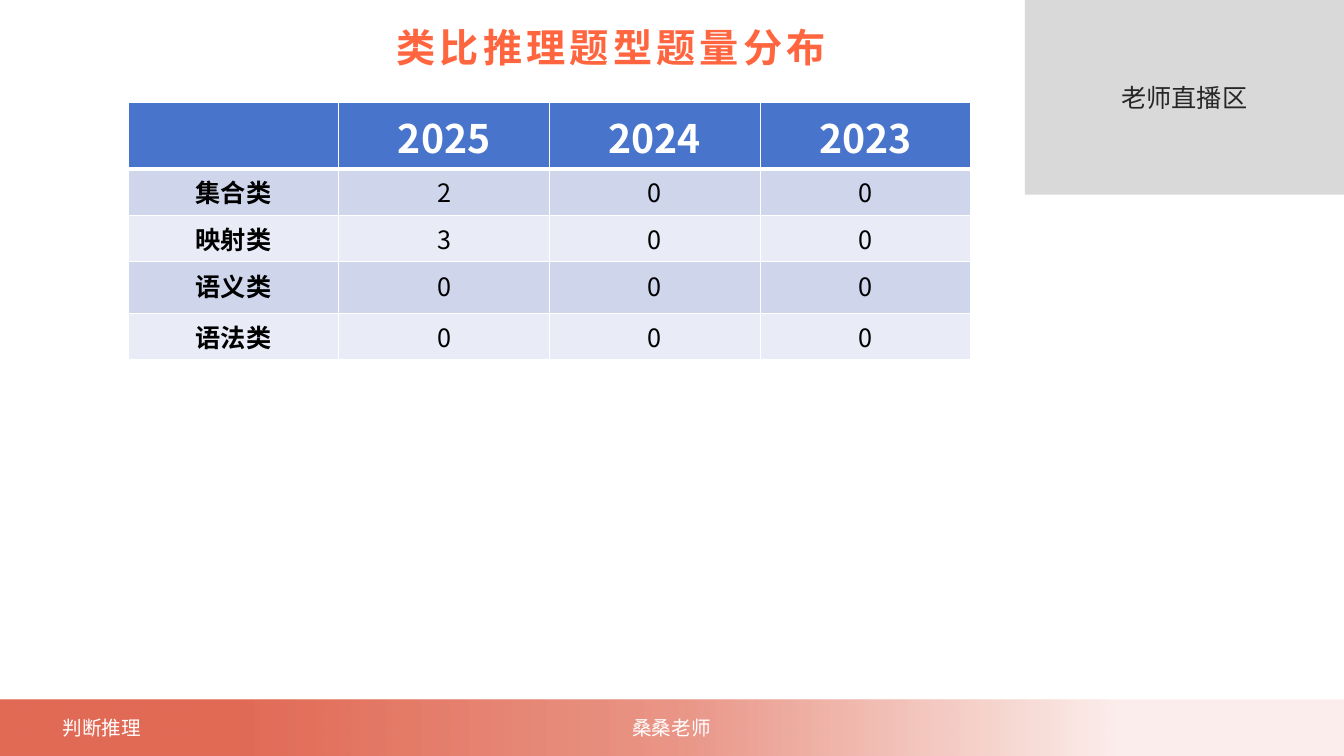
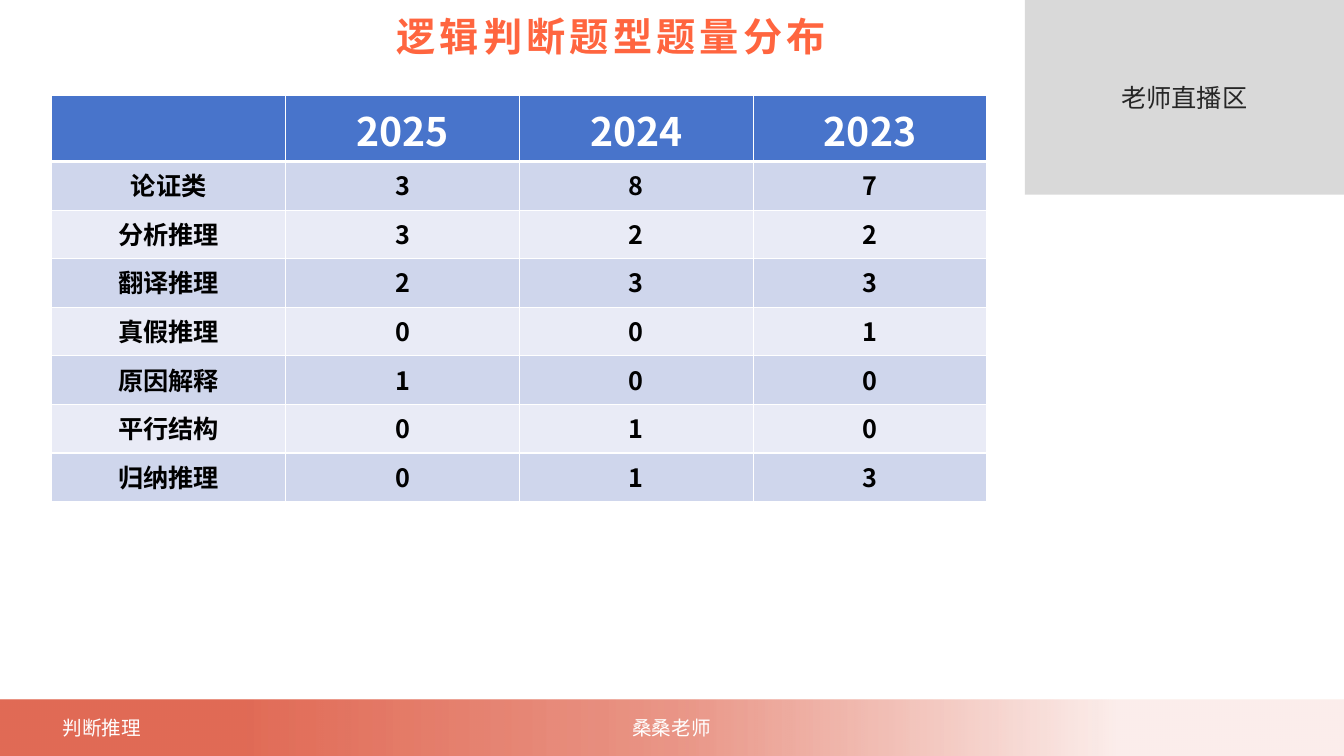
from lxml.etree import SubElement
from pptx import Presentation
from pptx.dml.color import RGBColor
from pptx.enum.shapes import MSO_SHAPE
from pptx.enum.text import MSO_ANCHOR, PP_ALIGN
from pptx.oxml.ns import qn
from pptx.util import Pt

FONT = "Noto Sans CJK SC"
WHITE = RGBColor(0xFF, 0xFF, 0xFF)
BLACK = RGBColor(0x00, 0x00, 0x00)
INK = RGBColor(0x26, 0x26, 0x26)
GRAY = RGBColor(0xD9, 0xD9, 0xD9)
CORAL = RGBColor(0xFF, 0x65, 0x3F)
RED = RGBColor(0xDC, 0x50, 0x37)
BLUE = RGBColor(0x48, 0x74, 0xCB)
BANDS = RGBColor(0xCF, 0xD6, 0xEC), RGBColor(0xE9, 0xEB, 0xF6)
FADE = (18, 84), (51, 59), (83, 10)
WIDTH, HEIGHT = 960, 540
YEARS = "", "2025", "2024", "2023"


def write(frame, text, size, color, bold=False, align=PP_ALIGN.CENTER):
    """Add one styled run to the first paragraph and return it."""
    para = frame.paragraphs[0]
    para.alignment = align
    run = para.add_run()
    run.text = text
    font = run.font
    font.name, font.size, font.bold = FONT, Pt(size), bold
    font.color.rgb = color
    SubElement(font._element, qn("a:ea"), typeface=FONT)
    return run


def add_text(slide, box, text, size, color, **style):
    """Add a text box and return its frame and run."""
    frame = slide.shapes.add_textbox(*map(Pt, box)).text_frame
    return frame, write(frame, text, size, color, **style)


def add_rect(slide, box):
    """Add a rectangle without line or shadow."""
    rect = slide.shapes.add_shape(MSO_SHAPE.RECTANGLE, *map(Pt, box))
    rect.shadow.inherit = False
    rect.line.fill.background()
    return rect


def add_live(slide, box):
    """Add the gray area kept for the live teacher."""
    rect = add_rect(slide, box)
    rect.fill.solid()
    rect.fill.fore_color.rgb = GRAY
    rect.text_frame.vertical_anchor = MSO_ANCHOR.MIDDLE
    write(rect.text_frame, "老师直播区", 18, INK)


def add_footer(slide, box):
    """Add the fading band with its two labels."""
    left, top, _, _ = box
    band = add_rect(slide, box)
    band.fill.gradient()
    band.fill.gradient_angle = 0
    stops = band._element.spPr.find(qn("a:gradFill")).find(qn("a:gsLst"))
    for old in list(stops):
        stops.remove(old)
    for pos, alpha in FADE:
        stop = SubElement(stops, qn("a:gs"), pos=str(pos * 1000))
        color = SubElement(stop, qn("a:srgbClr"), val=str(RED))
        SubElement(color, qn("a:alpha"), val=str(alpha * 1000))
    for shift, text in (37.5, "判断推理"), (444.5, "桑桑老师"):
        spot = left + shift, top + 8.5, 70.5, 24.5
        frame, _ = add_text(slide, spot, text, 14, WHITE, align=PP_ALIGN.LEFT)
        frame.word_wrap = False


def add_title(slide, box, text):
    """Add the spaced coral title."""
    frame, run = add_text(slide, box, text, 28, CORAL, bold=True)
    frame.word_wrap = True
    frame.vertical_anchor = MSO_ANCHOR.MIDDLE
    run.font._element.set("spc", "300")


def style_cell(cell, fill, top, bottom):
    """Give a cell white borders and a solid fill."""
    props = cell._tc.get_or_add_tcPr()
    for side, width in ("L", 1), ("R", 1), ("T", top), ("B", bottom):
        line = SubElement(props, qn("a:ln" + side), w=str(Pt(width)))
        paint = SubElement(line, qn("a:solidFill"))
        SubElement(paint, qn("a:srgbClr"), val=str(WHITE))
    cell.fill.solid()
    cell.fill.fore_color.rgb = fill


def add_grid(slide, box, rows, heights, bold):
    """Add the table of counts under its header of years."""
    data = [YEARS, *rows]
    shape = slide.shapes.add_table(len(data), len(YEARS), *map(Pt, box))
    table = shape.table
    for col in table.columns:
        col.width = Pt(box[2] / len(YEARS))
    for i, (values, height) in enumerate(zip(data, heights)):
        table.rows[i].height = Pt(height)
        head = i == 0
        fill = BLUE if head else BANDS[(i - 1) % 2]
        size, color = (28, WHITE) if head else (18, BLACK)
        for j, value in enumerate(values):
            cell = table.cell(i, j)
            style_cell(cell, fill, 3 if i == 1 else 1, 3 if head else 1)
            if value != "":
                strong = head or j == 0 or bold
                write(cell.text_frame, str(value), size, color, strong)


def add_page(deck, title, top, box, rows, heights, bold):
    """Add one slide with a title, a table and the shared parts."""
    slide = deck.slides.add_slide(deck.slide_layouts[6])
    add_live(slide, (732, 0, 228, 139))
    add_footer(slide, (0, 499.5, WIDTH, 40.5))
    add_title(slide, (22.5, top, 828, 55.5), title)
    add_grid(slide, box, rows, heights, bold)


def main():
    """Build and save the deck."""
    deck = Presentation()
    deck.slide_width, deck.slide_height = Pt(WIDTH), Pt(HEIGHT)
    analogy = [
        ("集合类", 2, 0, 0),
        ("映射类", 3, 0, 0),
        ("语义类", 0, 0, 0),
        ("语法类", 0, 0, 0),
    ]
    logic = [
        ("论证类", 3, 8, 7),
        ("分析推理", 3, 2, 2),
        ("翻译推理", 2, 3, 3),
        ("真假推理", 0, 0, 1),
        ("原因解释", 1, 0, 0),
        ("平行结构", 0, 1, 0),
        ("归纳推理", 0, 1, 3),
    ]
    add_page(deck, "类比推理题型题量分布", 6, (91.5, 73.5, 602, 183.5),
             analogy, (47, 33.3, 33.3, 36.6, 33.3), False)
    add_page(deck, "逻辑判断题型题量分布", -2, (37, 68.4, 668, 290),
             logic, [47] + [34.7] * len(logic), True)
    deck.save("out.pptx")


if __name__ == "__main__":
    main()
